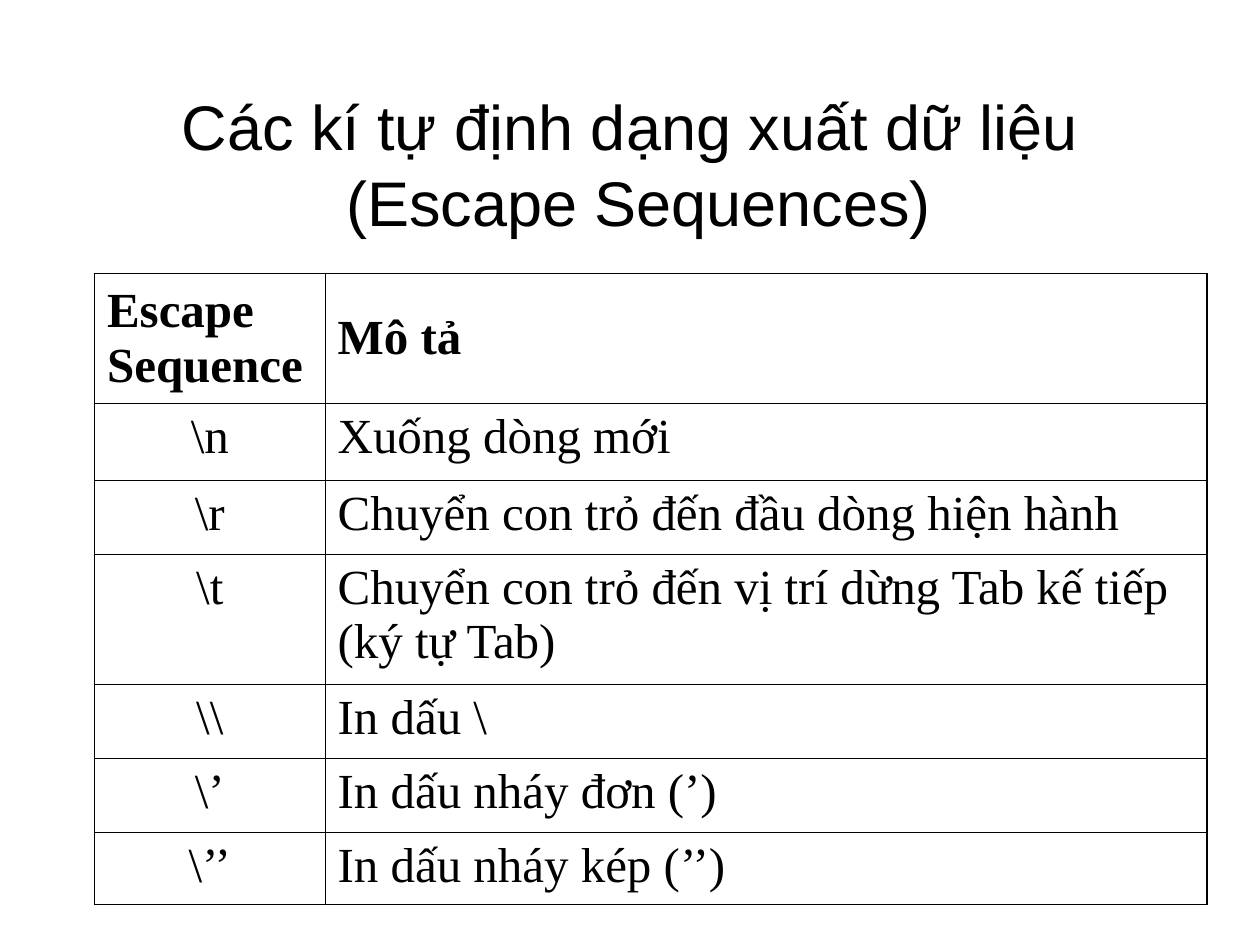
from lxml import etree
from pptx import Presentation
from pptx.dml.color import RGBColor
from pptx.enum.text import MSO_ANCHOR, PP_ALIGN
from pptx.oxml.ns import qn
from pptx.util import Inches, Pt

LEFT, CENTER = PP_ALIGN.LEFT, PP_ALIGN.CENTER
TOP, MIDDLE = MSO_ANCHOR.TOP, MSO_ANCHOR.MIDDLE
TITLE_ONLY = 5
THIN, THICK = Pt(0.45), Pt(1.08)
COLORS = {"ink": "000000", "paper": "FFFFFF"}

TITLE = "Các kí tự định dạng xuất dữ liệu\v (Escape Sequences)"
COLUMN_WIDTHS = [1.83, 7]
ROW_HEIGHTS = [1.03, 0.61, 0.59, 1.03, 0.59, 0.59, 0.57]
ROWS = [
    ("Escape Sequence", "Mô tả"),
    (r"\n", "Xuống dòng mới"),
    (r"\r", "Chuyển con trỏ đến đầu dòng hiện hành"),
    (r"\t", "Chuyển con trỏ đến vị trí dừng Tab kế tiếp (ký tự Tab)"),
    ("\\\\", "In dấu \\"),
    (r"\’", "In dấu nháy đơn (’)"),
    (r"\’’", "In dấu nháy kép (’’)"),
]


class SlideBuilder:
    title_font, title_size = "Arial", 36
    table_font, table_size = "Times New Roman", 28

    def __init__(self, deck):
        self.page = deck.slides.add_slide(deck.slide_layouts[TITLE_ONLY])
        fill = self.page.background.fill
        fill.solid()
        fill.fore_color.rgb = RGBColor.from_string(COLORS["paper"])

    def style(self, para, font, size, align, bold=False):
        para.alignment = align
        for span in para.runs:
            span.font.name = font
            span.font.size = Pt(size)
            span.font.bold = bold
            span.font.color.rgb = RGBColor.from_string(COLORS["ink"])

    def title(self, text, left, top, width, height):
        box = self.page.shapes.title
        box.left, box.top = Inches(left), Inches(top)
        box.width, box.height = Inches(width), Inches(height)
        frame = box.text_frame
        frame.text = text
        frame.vertical_anchor = MIDDLE
        self.style(frame.paragraphs[0], self.title_font, self.title_size, CENTER)

    def borders(self, cell, widths):
        properties = cell._tc.get_or_add_tcPr()
        for index, (side, width) in enumerate(widths.items()):
            line = etree.Element(qn(f"a:ln{side}"), w=str(width))
            fill = etree.SubElement(line, qn("a:solidFill"))
            etree.SubElement(fill, qn("a:srgbClr"), val=COLORS["ink"])
            properties.insert(index, line)

    def table(self, rows, left, top, widths, heights):
        frame = self.page.shapes.add_table(
            len(rows), len(widths), Inches(left), Inches(top),
            Inches(sum(widths)), Inches(sum(heights)))
        grid = frame.table
        grid.first_row = grid.horz_banding = False
        for column, width in zip(grid.columns, widths):
            column.width = Inches(width)
        for row, height in zip(grid.rows, heights):
            row.height = Inches(height)
        last_row, last_column = len(rows) - 1, len(widths) - 1
        for r, texts in enumerate(rows):
            for c, text in enumerate(texts):
                cell = grid.cell(r, c)
                header = r == 0
                cell.text = text
                cell.fill.background()
                cell.vertical_anchor = MIDDLE if header else TOP
                para = cell.text_frame.paragraphs[0]
                para.space_before = Pt(7)
                align = CENTER if c == 0 and not header else LEFT
                self.style(para, self.table_font, self.table_size, align, header)
                self.borders(cell, {
                    "L": THICK if c == 0 else THIN,
                    "R": THICK if c == last_column else THIN,
                    "T": THICK if header else THIN,
                    "B": THICK if r == last_row else THIN,
                })


def main():
    deck = Presentation()
    deck.slide_width, deck.slide_height = Inches(10), Inches(7.5)
    builder = SlideBuilder(deck)
    builder.title(TITLE, 0.75, 0.67, 8.5, 1.25)
    builder.table(ROWS, 0.75, 2.17, COLUMN_WIDTHS, ROW_HEIGHTS)
    deck.save("out.pptx")


if __name__ == "__main__":
    main()
